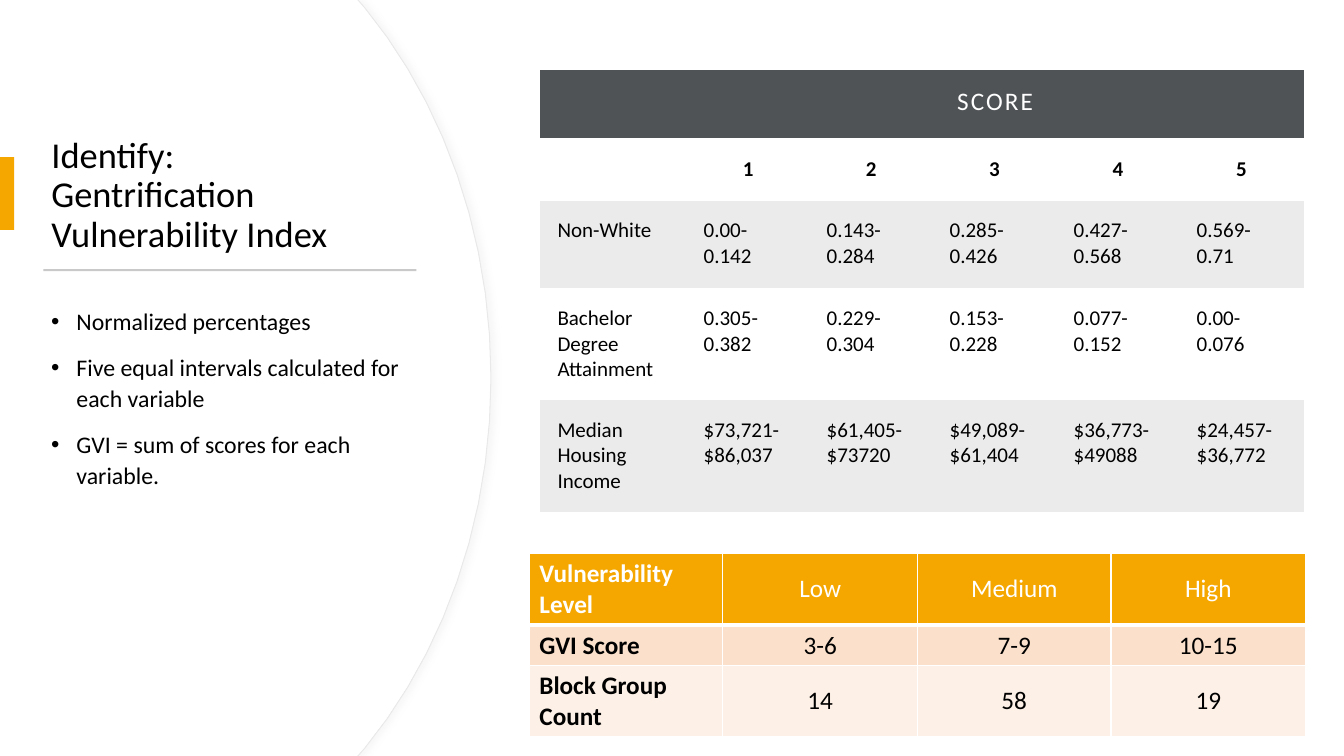
from lxml.etree import SubElement
from pptx import Presentation
from pptx.dml.color import RGBColor
from pptx.enum.shapes import MSO_SHAPE
from pptx.enum.text import MSO_ANCHOR, MSO_AUTO_SIZE, PP_ALIGN
from pptx.oxml import parse_xml
from pptx.oxml.ns import nsdecls, qn
from pptx.util import Pt

# Content
TITLE = "Identify:\vGentrification Vulnerability Index"
BULLETS = [
    "Normalized percentages",
    "Five equal intervals calculated for each variable",
    "GVI = sum of scores for each variable.",
]
SCORES = [
    ["", "SCORE", "", "", "", ""],
    ["", "1", "2", "3", "4", "5"],
    ["Non-White", "0.00-0.142", "0.143-0.284", "0.285-0.426", "0.427-0.568", "0.569-0.71"],
    ["Bachelor Degree Attainment", "0.305-0.382", "0.229-0.304", "0.153-0.228",
     "0.077-0.152", "0.00-0.076"],
    ["Median Housing Income", "$73,721-$86,037", "$61,405-$73720", "$49,089-$61,404",
     "$36,773-$49088", "$24,457-$36,772"],
]
LEVELS = [
    ["Vulnerability Level", "Low", "Medium", "High"],
    ["GVI Score", "3-6", "7-9", "10-15"],
    ["Block Group Count", "14", "58", "19"],
]

# Format: 100 px to the inch
PX = 9144
FONT = "Calibri"
BLACK, WHITE, ORANGE, SLATE = "000000", "FFFFFF", "F5A700", "505356"
RULE, EDGE, STRIPE = "C9C9C9", "E9E9E9", "EBEBEB"
LEVEL_FILLS = [ORANGE, "FBE1CC", "FDF1E7"]
SCORE_FILLS = [SLATE, None, STRIPE, None, STRIPE]
NO_STYLE = "{2D5ABB26-0587-4C30-8999-92F81FD0307C}"
CURVE = [(362, 8), (439, 102), (487, 232), (487, 375)]
CURVE_STEPS = 10
SHADOW = (
    f'<a:effectLst {nsdecls("a")}><a:outerShdw blurRad="50800" dist="38100" dir="0">'
    '<a:srgbClr val="D9D9D9"><a:alpha val="20000"/></a:srgbClr></a:outerShdw></a:effectLst>'
)


def rgb(value):
    return RGBColor.from_string(value)


def box(*lengths):
    return [n * PX for n in lengths]


def style(font, size, color=BLACK, bold=False):
    for name, value in {"name": FONT, "size": Pt(size), "bold": bold}.items():
        setattr(font, name, value)
    font.color.rgb = rgb(color)


def paint(sp, fill, line=None):
    sp.shadow.inherit = False
    sp.fill.solid()
    sp.fill.fore_color.rgb = rgb(fill)
    if line:
        sp.line.color.rgb = rgb(line)
        sp.line.width = Pt(0.75)
    else:
        sp.line.fill.background()


def add_bar(s, fill, *place):
    paint(s.shapes.add_shape(MSO_SHAPE.RECTANGLE, *box(*place)), fill)


def add_panel(s, shift, line=None):
    """White panel whose right side is a curve, mirrored about the slide's middle."""
    half = [(355, 0)]
    for i in range(CURVE_STEPS + 1):
        t = i / CURVE_STEPS
        weights = [(1 - t) ** 3, 3 * t * (1 - t) ** 2, 3 * t * t * (1 - t), t ** 3]
        half.append([sum(w * pt[k] for w, pt in zip(weights, CURVE)) for k in (0, 1)])
    side = half + [(x, 750 - y) for x, y in reversed(half[:-1])]
    builder = s.shapes.build_freeform(0, 0, scale=1.0)
    builder.add_line_segments(
        [(round((x + shift) * PX), round(y * PX)) for x, y in side] + [(0, 750 * PX)])
    sp = builder.convert_to_shape()
    paint(sp, WHITE, line)
    if line:
        props = sp._element.spPr
        props.replace(props.find(qn("a:effectLst")), parse_xml(SHADOW))


def add_grid(s, rows, left, top, widths, heights):
    frame = s.shapes.add_table(len(rows), len(widths),
                               *box(left, top, sum(widths), sum(heights)))
    table = frame.table
    table._tbl.tblPr.find(qn("a:tableStyleId")).text = NO_STYLE
    table.first_row = table.horz_banding = False
    for col, width in zip(table.columns, widths):
        col.width = width * PX
    for row, height in zip(table.rows, heights):
        row.height = height * PX
    return table


def fill_cell(cell, text, fill, size, color, bold, align, anchor):
    if fill:
        cell.fill.solid()
        cell.fill.fore_color.rgb = rgb(fill)
    else:
        cell.fill.background()
    cell.vertical_anchor = anchor
    p = cell.text_frame.paragraphs[0]
    p.alignment = align
    if text:
        r = p.add_run()
        r.text = text
        style(r.font, size, color, bold)
    else:
        SubElement(p._p, qn("a:endParaRPr"), sz=str(size * 100))


def add_borders(cell, bottom):
    props = cell._tc.get_or_add_tcPr()
    for side, width in {"L": 1, "R": 1, "T": 1, "B": bottom}.items():
        ln = SubElement(props, qn(f"a:ln{side}"), w=str(Pt(width)))
        SubElement(SubElement(ln, qn("a:solidFill")), qn("a:srgbClr"), val=WHITE)


def main():
    prs = Presentation()
    prs.slide_width, prs.slide_height = box(1333, 750)
    s = prs.slides.add_slide(prs.slide_layouts[5])

    # Curved panel
    add_panel(s, 0, EDGE)
    add_panel(s, -1)

    # Title, brought in front of the panel
    title = s.shapes.title
    s.shapes._spTree.append(title._element)
    title.left, title.top, title.width, title.height = box(41, 127, 376, 135)
    tf = title.text_frame
    tf.text = TITLE
    tf.word_wrap = True
    tf.auto_size = MSO_AUTO_SIZE.NONE
    tf.vertical_anchor = MSO_ANCHOR.MIDDLE
    p = tf.paragraphs[0]
    p.alignment, p.line_spacing = PP_ALIGN.LEFT, 0.9
    for r in p.runs:
        style(r.font, 26)

    # Accents
    add_bar(s, ORANGE, 0, 156, 14, 72)
    add_bar(s, RULE, 43, 267, 370, 2)

    # Bullets
    tf = s.shapes.add_textbox(*box(41, 297, 376, 197)).text_frame
    tf.word_wrap = True
    for i, text in enumerate(BULLETS):
        p = tf.paragraphs[0] if i == 0 else tf.add_paragraph()
        props = p._p.get_or_add_pPr()
        props.set("marL", str(25 * PX))
        props.set("indent", str(-25 * PX))
        SubElement(props, qn("a:buFont"), typeface="Arial")
        SubElement(props, qn("a:buChar"), char="•")
        p.line_spacing = 1.1
        p.space_before = Pt(10 if i else 0)
        r = p.add_run()
        r.text = text
        style(r.font, 17)

    # Score ranges
    table = add_grid(s, SCORES, 536, 69, [145, 122, 122, 123, 122, 123],
                     [68, 62, 87, 111, 111])
    for i, row in enumerate(SCORES):
        for j, text in enumerate(row):
            cell = table.cell(i, j)
            for side in ("left", "right", "top", "bottom"):
                setattr(cell, f"margin_{side}", 17 * PX)
            fill_cell(cell, text, SCORE_FILLS[i], 15 if i else 18, BLACK if i else WHITE,
                      i == 1, PP_ALIGN.CENTER if i < 2 else PP_ALIGN.LEFT,
                      MSO_ANCHOR.MIDDLE if i == 1 else MSO_ANCHOR.TOP)
    heading = table.cell(0, 1)
    heading.merge(table.cell(0, 5))
    heading.text_frame.paragraphs[0].runs[0].font._element.set("spc", "150")

    # Vulnerability levels
    table = add_grid(s, LEVELS, 525, 549, [192, 193] * 2, [71, 40, 71])
    for i, row in enumerate(LEVELS):
        for j, text in enumerate(row):
            cell = table.cell(i, j)
            add_borders(cell, 1 if i else 3)
            fill_cell(cell, text, LEVEL_FILLS[i], 18, BLACK if i else WHITE, j == 0,
                      PP_ALIGN.CENTER if j else PP_ALIGN.LEFT,
                      MSO_ANCHOR.MIDDLE if j else MSO_ANCHOR.TOP)

    prs.save("out.pptx")


if __name__ == "__main__":
    main()
